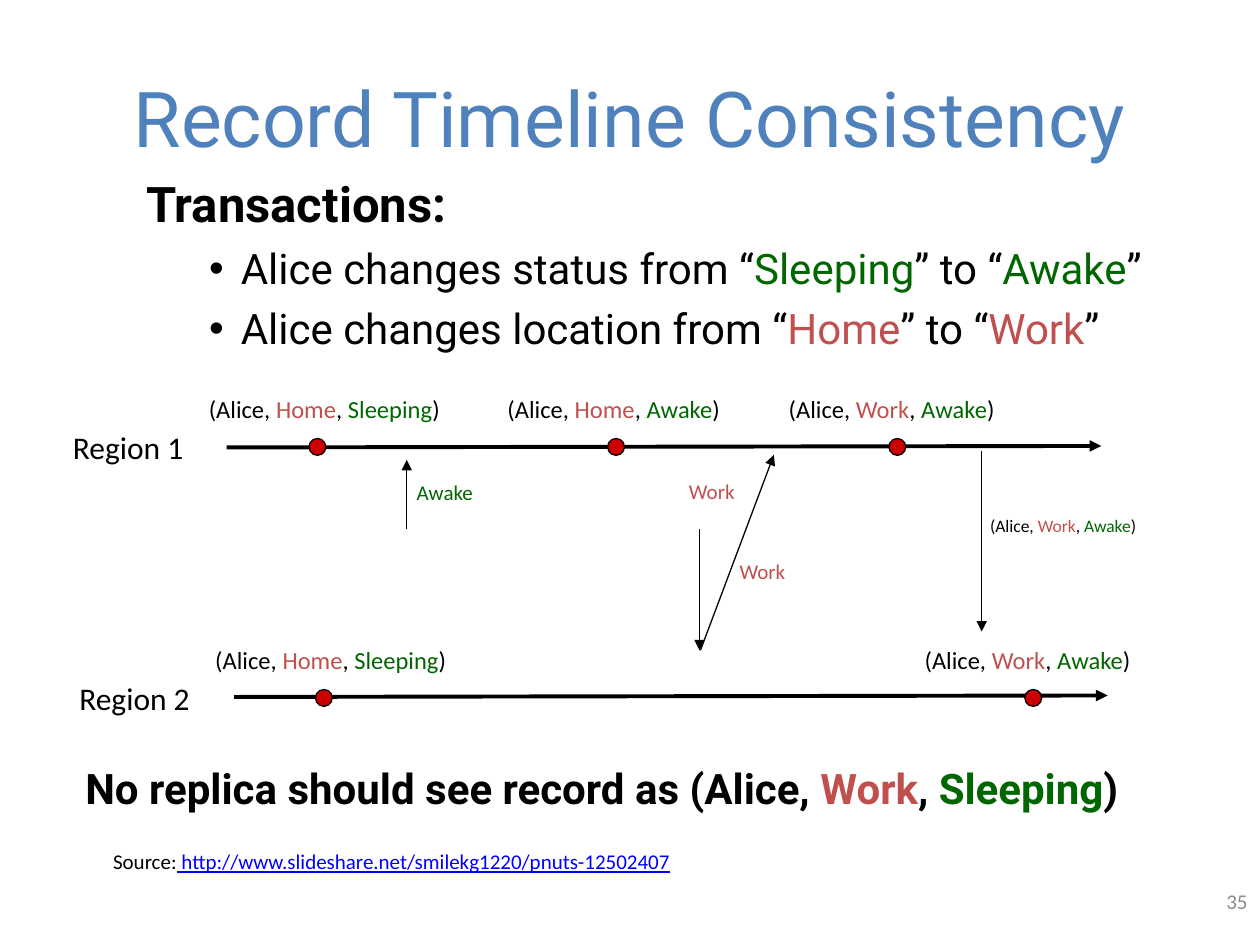
from lxml.etree import SubElement
from pptx import Presentation
from pptx.dml.color import RGBColor
from pptx.enum.shapes import MSO_CONNECTOR, MSO_SHAPE
from pptx.enum.text import MSO_ANCHOR, MSO_AUTO_SIZE, PP_ALIGN
from pptx.oxml.ns import qn
from pptx.util import Cm, Pt

COLOURS = {
    "title": "4F81BD",
    "text": "000000",
    "location": "C0504D",
    "status": "006600",
    "event": "CC0000",
    "link": "0000FF",
    "number": "8C8C8C",
}
WORD_ROLES = {"Home": "location", "Work": "location", "Sleeping": "status", "Awake": "status"}


def add_runs(paragraph, text, size, font="Calibri", bold=False, role="text"):
    for piece in text.split("|"):
        run = paragraph.add_run()
        run.text = piece
        run.font.size = Pt(size)
        run.font.name = font
        run.font.bold = bold
        run.font.color.rgb = RGBColor.from_string(COLOURS[WORD_ROLES.get(piece, role)])
    return run


def add_label(left, top, width, height, text, size, **style):
    box = slide.shapes.add_textbox(Cm(left), Cm(top), Cm(width), Cm(height))
    box.text_frame.word_wrap = True
    paragraph = box.text_frame.paragraphs[0]
    add_runs(paragraph, text, size, **style)
    return box


presentation = Presentation()
presentation.slide_width = Cm(25.4)
presentation.slide_height = Cm(19.05)
slide = presentation.slides.add_slide(presentation.slide_layouts[1])

title = slide.shapes.title
title.left, title.top, title.width, title.height = Cm(1.27), Cm(0.76), Cm(22.86), Cm(3.18)
title.text_frame.vertical_anchor = MSO_ANCHOR.MIDDLE
title.text_frame.auto_size = MSO_AUTO_SIZE.NONE
heading = title.text_frame.paragraphs[0]
heading.alignment = PP_ALIGN.CENTER
add_runs(heading, "Record Timeline Consistency", 44, font="Roboto", role="title")

body = slide.placeholders[1]
body.left, body.top, body.width, body.height = Cm(1.42), Cm(3.38), Cm(22.4), Cm(13.13)
body.text_frame.auto_size = MSO_AUTO_SIZE.NONE
transactions = [
    ("Transactions:", 1, 28, 2.06, -0.79, 0),
    ("Alice changes status from “|Sleeping|” to “|Awake|”", 2, 24, 3.18, -0.64, 5.6),
    ("Alice changes location from “|Home|” to “|Work|”", 2, 24, 3.18, -0.64, 5.6),
]
for index, (text, level, size, margin, indent, space) in enumerate(transactions):
    paragraph = body.text_frame.paragraphs[0] if index == 0 else body.text_frame.add_paragraph()
    paragraph.level = level
    properties = paragraph._p.get_or_add_pPr()
    properties.set("marL", str(Cm(margin)))
    properties.set("indent", str(Cm(indent)))
    if level == 1:
        SubElement(properties, qn("a:buNone"))
    else:
        SubElement(properties, qn("a:buChar")).set("char", "•")
    paragraph.space_before = Pt(space)
    add_runs(paragraph, text, size, font="Roboto", bold=level == 1)

arrows = [
    (4.57, 9.02, 22.2, 8.99, 2.25),
    (4.72, 14.05, 22.33, 14.02, 2.25),
    (8.2, 10.67, 8.2, 9.27, 0.75),
    (14.1, 10.67, 14.1, 13.11, 0.75),
    (14.12, 13.11, 15.6, 9.17, 0.75),
    (19.79, 9.09, 19.79, 12.73, 0.75),
]
for start_x, start_y, end_x, end_y, weight in arrows:
    arrow = slide.shapes.add_connector(
        MSO_CONNECTOR.STRAIGHT, Cm(start_x), Cm(start_y), Cm(end_x), Cm(end_y)
    )
    arrow.line.color.rgb = RGBColor.from_string(COLOURS["text"])
    arrow.line.width = Pt(weight)
    SubElement(arrow.line._get_or_add_ln(), qn("a:tailEnd")).set("type", "triangle")
    SubElement(arrow._element.spPr, qn("a:effectLst"))

regions = [
    ("Region 1", 1.22, 7.82, [
        (3.96, 5.69, "(Alice, |Home|, |Sleeping|)"),
        (9.98, 5.26, "(Alice, |Home|, |Awake|)"),
        (15.65, 5.08, "(Alice, |Work|, |Awake|)"),
    ]),
    ("Region 2", 1.35, 12.88, [
        (4.09, 5.69, "(Alice, |Home|, |Sleeping|)"),
        (18.39, 5.08, "(Alice, |Work|, |Awake|)"),
    ]),
]
for region, region_left, top, records in regions:
    add_label(region_left, top + 0.69, 2.77, 0.94, region, 18)
    for left, width, record in records:
        event = slide.shapes.add_shape(
            MSO_SHAPE.OVAL, Cm(left + 2.27), Cm(top + 1.02), Cm(0.34), Cm(0.34)
        )
        event.shadow.inherit = False
        event.fill.solid()
        event.fill.fore_color.rgb = RGBColor.from_string(COLOURS["event"])
        event.line.color.rgb = RGBColor.from_string(COLOURS["text"])
        event.line.width = Pt(0.75)
        add_label(left, top, width, 0.84, record, 14)

messages = [
    (8.15, 9.55, 1.78, "Awake", 12),
    (13.64, 9.53, 1.5, "Work", 12),
    (14.66, 11.13, 1.5, "Work", 12),
    (19.71, 10.26, 3.78, "(Alice, |Work|, |Awake|)", 10),
]
for left, top, width, message, size in messages:
    add_label(left, top, width, 0.76, message, size)

add_label(1.47, 15.24, 22.91, 1.27, "No replica should see record as (Alice, |Work|, |Sleeping|)", 24,
          font="Roboto", bold=True)

source = add_label(2.03, 16.99, 17.55, 0.76, "Source:", 12)
link = add_runs(source.text_frame.paragraphs[0],
                " http://www.slideshare.net/smilekg1220/pnuts-12502407", 12, role="link")
link.font.underline = True

number = add_label(19.48, 17.65, 5.92, 1.02, "35", 12, role="number")
number.text_frame.vertical_anchor = MSO_ANCHOR.MIDDLE
number.text_frame.paragraphs[0].alignment = PP_ALIGN.RIGHT

presentation.save("out.pptx")
